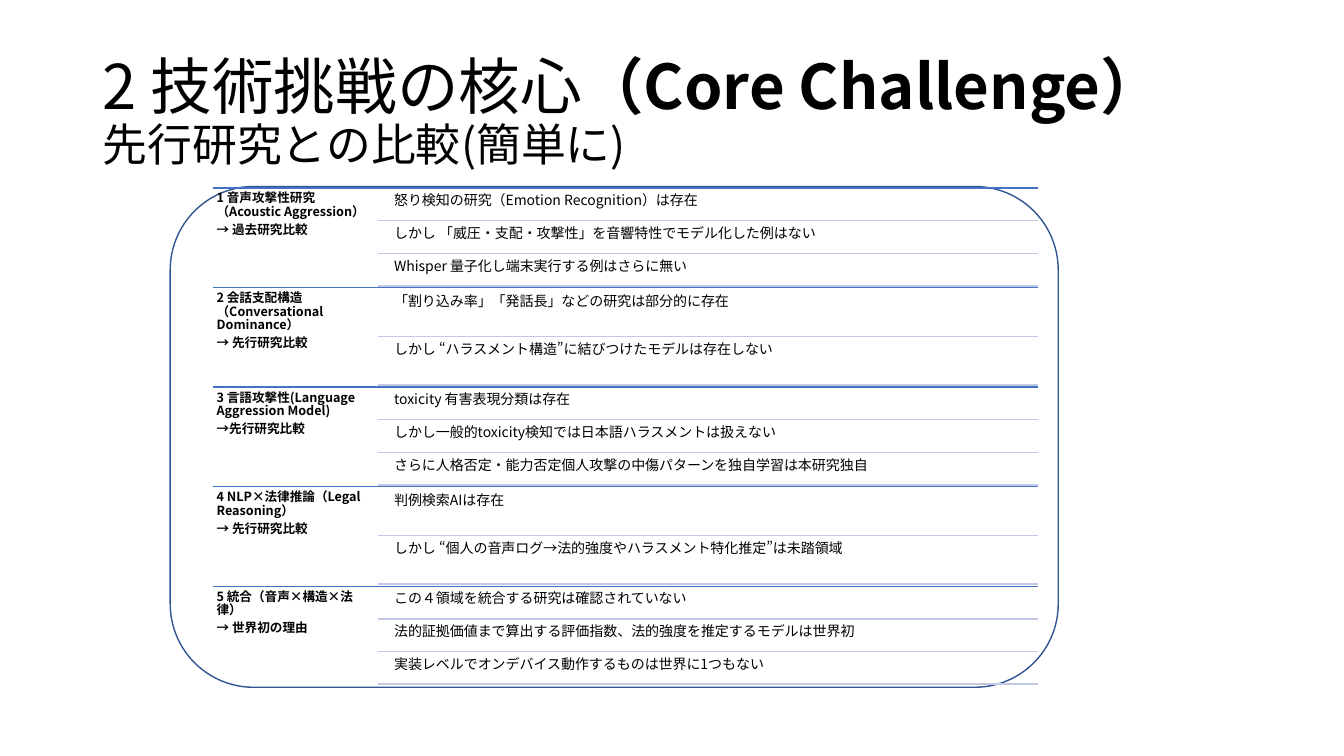
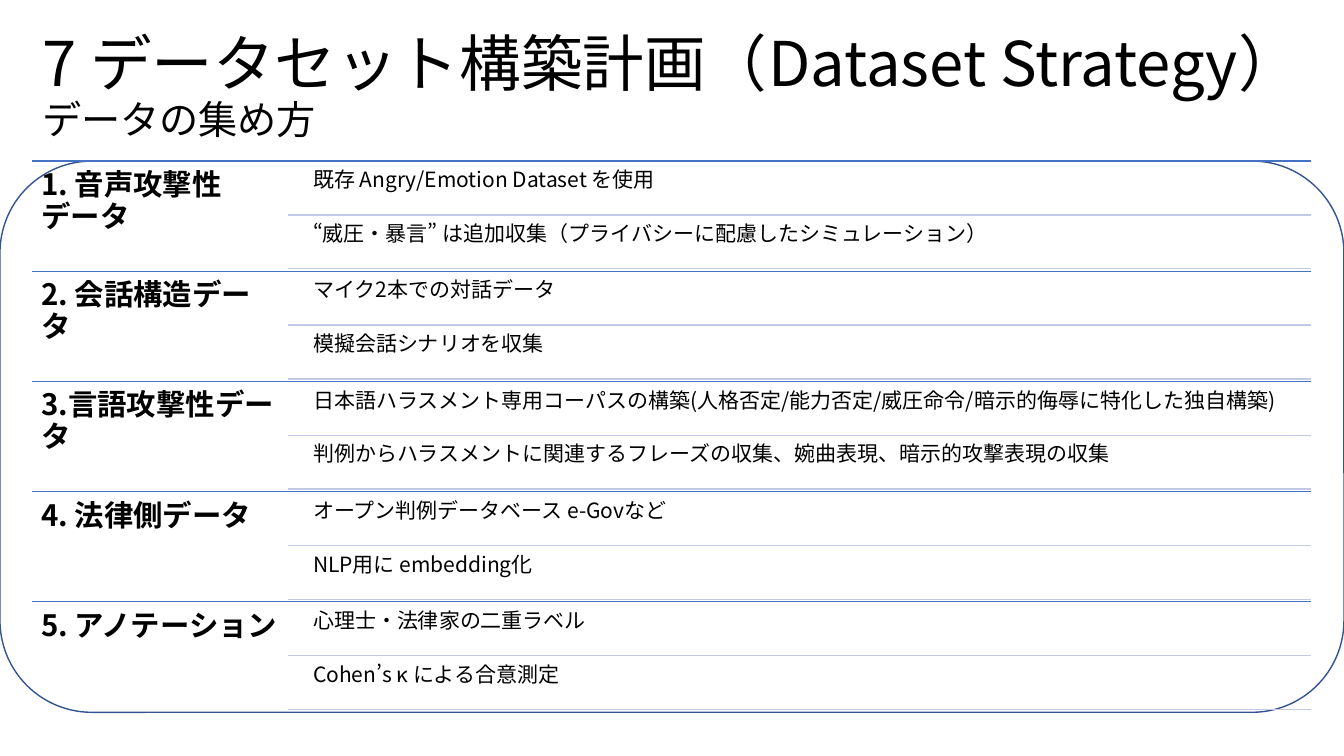
from lxml import etree
from pptx import Presentation
from pptx.dml.color import RGBColor
from pptx.enum.lang import MSO_LANGUAGE_ID as Lang
from pptx.enum.shapes import MSO_CONNECTOR as Connector, MSO_SHAPE as Shape
from pptx.enum.text import MSO_ANCHOR as Anchor
from pptx.oxml.ns import qn
from pptx.util import Cm, Pt

# Shared style
FONT = "Noto Sans CJK JP"
BLACK = RGBColor(0x00, 0x00, 0x00)
FRAME_BLUE = RGBColor(0x32, 0x54, 0x91)
BAND_BLUE = RGBColor(0x44, 0x72, 0xC4)
ITEM_BLUE = RGBColor(0xC1, 0xC9, 0xE4)
LINE_WIDTH = Pt(1)
LINE_SPACING = 0.9
TITLE_SIZE = 44

# List proportions: heading column, item indent, gap between items
HEADING_SHARE = 0.2
INDENT_SHARE = 0.015
GAP_SHARE = 0.05

# Each topic: heading paragraphs, then its items
COMPARISON = [
    (["1 音声攻撃性研究（Acoustic Aggression）", "→ 過去研究比較"],
     ["怒り検知の研究（Emotion Recognition）は存在",
      "しかし 「威圧・支配・攻撃性」を音響特性でモデル化した例はない",
      "Whisper 量子化し端末実行する例はさらに無い"]),
    (["2 会話支配構造（Conversational Dominance）", "→ 先行研究比較"],
     ["「割り込み率」「発話長」などの研究は部分的に存在",
      "しかし “ハラスメント構造”に結びつけたモデルは存在しない"]),
    (["3 言語攻撃性(Language Aggression Model)", "→先行研究比較"],
     ["toxicity 有害表現分類は存在",
      "しかし一般的toxicity検知では日本語ハラスメントは扱えない",
      "さらに人格否定・能力否定個人攻撃の中傷パターンを独自学習は本研究独自"]),
    (["4 NLP×法律推論（Legal Reasoning）", "→ 先行研究比較"],
     ["判例検索AIは存在",
      "しかし “個人の音声ログ→法的強度やハラスメント特化推定”は未踏領域"]),
    (["5 統合（音声×構造×法律）", "→ 世界初の理由"],
     ["この４領域を統合する研究は確認されていない",
      "法的証拠価値まで算出する評価指数、法的強度を推定するモデルは世界初",
      "実装レベルでオンデバイス動作するものは世界に1つもない"]),
]
DATASETS = [
    (["1. 音声攻撃性データ"],
     ["既存 Angry/Emotion Dataset を使用",
      "“威圧・暴言” は追加収集（プライバシーに配慮したシミュレーション）"]),
    (["2. 会話構造データ"],
     ["マイク2本での対話データ", "模擬会話シナリオを収集"]),
    (["3.言語攻撃性データ"],
     ["日本語ハラスメント専用コーパスの構築"
      "(人格否定/能力否定/威圧命令/暗示的侮辱に特化した独自構築)",
      "判例からハラスメントに関連するフレーズの収集、婉曲表現、暗示的攻撃表現の収集"]),
    (["4. 法律側データ"],
     ["オープン判例データベース e-Govなど", "NLP用に embedding化"]),
    (["5. アノテーション"],
     ["心理士・法律家の二重ラベル", "Cohen’s κ による合意測定"]),
]


def add_run(paragraph, text, size, bold=False):
    run = paragraph.add_run()
    run.text = text
    font = run.font
    font.size, font.bold, font.name = Pt(size), bold, FONT
    font.color.rgb = BLACK
    font.language_id = Lang.JAPANESE
    east_asian = etree.SubElement(font._element, qn("a:ea"))
    east_asian.set("typeface", FONT)


def add_text_frame(slide, left, top, width, height, inset=None):
    """Add a wrapping text box; lengths are in cm."""
    frame = slide.shapes.add_textbox(
        Cm(left), Cm(top), Cm(width), Cm(height)).text_frame
    frame.word_wrap = True
    if inset is not None:
        frame.margin_left = frame.margin_right = Cm(inset)
        frame.margin_top = frame.margin_bottom = Cm(inset)
    return frame


def add_title(slide, left, top, width, headline, subtitle, subtitle_size):
    """Add a headline of (text, bold) pieces above a smaller subtitle."""
    frame = add_text_frame(slide, left, top, width, 3.68)
    frame.vertical_anchor = Anchor.MIDDLE
    paragraph = frame.paragraphs[0]
    paragraph.line_spacing = LINE_SPACING
    for text, bold in headline:
        add_run(paragraph, text, TITLE_SIZE, bold)
    paragraph.add_line_break()
    add_run(paragraph, subtitle, subtitle_size)


def add_frame(slide, left, top, width, height):
    frame = slide.shapes.add_shape(
        Shape.ROUNDED_RECTANGLE, Cm(left), Cm(top), Cm(width), Cm(height))
    frame.shadow.inherit = False
    frame.fill.background()
    frame.line.color.rgb = FRAME_BLUE
    frame.line.width = LINE_WIDTH


def add_rule(slide, left, right, y, color):
    rule = slide.shapes.add_connector(
        Connector.STRAIGHT, Cm(left), Cm(y), Cm(right), Cm(y))
    rule.line.color.rgb = color
    rule.line.width = LINE_WIDTH
    etree.SubElement(rule._element.spPr, qn("a:effectLst"))


def add_label(slide, box, paragraphs, size, inset, bold=False):
    frame = add_text_frame(slide, *box, inset)
    for index, text in enumerate(paragraphs):
        paragraph = frame.add_paragraph() if index else frame.paragraphs[0]
        paragraph.line_spacing = LINE_SPACING
        paragraph.space_after = Pt(round(size * 0.35))
        add_run(paragraph, text, size, bold)


def add_topic_list(slide, left, top, width, height, topics,
                   heading_size, item_size, heading_inset, item_inset):
    """Split the height evenly by topic, and each topic evenly by item."""
    band = height / len(topics)
    right = left + width
    heading_width = width * HEADING_SHARE
    rule_left = left + heading_width
    item_left = rule_left + width * INDENT_SHARE
    for index, (heading, items) in enumerate(topics):
        band_top = top + index * band
        add_rule(slide, left, right, band_top, BAND_BLUE)
        add_label(slide, (left, band_top, heading_width, band),
                  heading, heading_size, heading_inset, bold=True)
        count = len(items)
        item_height = band / (count + (count + 1) * GAP_SHARE)
        gap = item_height * GAP_SHARE
        for row, item in enumerate(items):
            item_top = band_top + gap + row * (item_height + gap)
            add_label(slide,
                      (item_left, item_top, right - item_left, item_height),
                      [item], item_size, item_inset)
            add_rule(slide, rule_left, right, item_top + item_height, ITEM_BLUE)


def main():
    deck = Presentation()
    deck.slide_width, deck.slide_height = Cm(33.87), Cm(19.05)
    blank = deck.slide_layouts[6]

    # Comparison with earlier research
    challenge = deck.slides.add_slide(blank)
    add_frame(challenge, 4.29, 4.7, 22.38, 12.62)
    add_title(challenge, 2.34, 1.02, 29.21,
              [("2 技術挑戦の核心", False), ("（Core Challenge）", True)],
              "先行研究との比較(簡単に)", 32)
    add_topic_list(challenge, 5.36, 4.74, 20.8, 12.54, COMPARISON,
                   heading_size=9, item_size=10,
                   heading_inset=0.1, item_inset=0.1)

    # Dataset plan
    strategy = deck.slides.add_slide(blank)
    add_frame(strategy, 0, 4.06, 33.87, 13.89)
    add_title(strategy, 0.81, 0.38, 34.14,
              [("7 データセット構築計画（Dataset Strategy）", False)],
              "データの集め方", 28)
    add_topic_list(strategy, 0.81, 4.06, 32.23, 13.88, DATASETS,
                   heading_size=21, item_size=15,
                   heading_inset=0.23, item_inset=0.15)

    deck.save("out.pptx")


if __name__ == "__main__":
    main()
